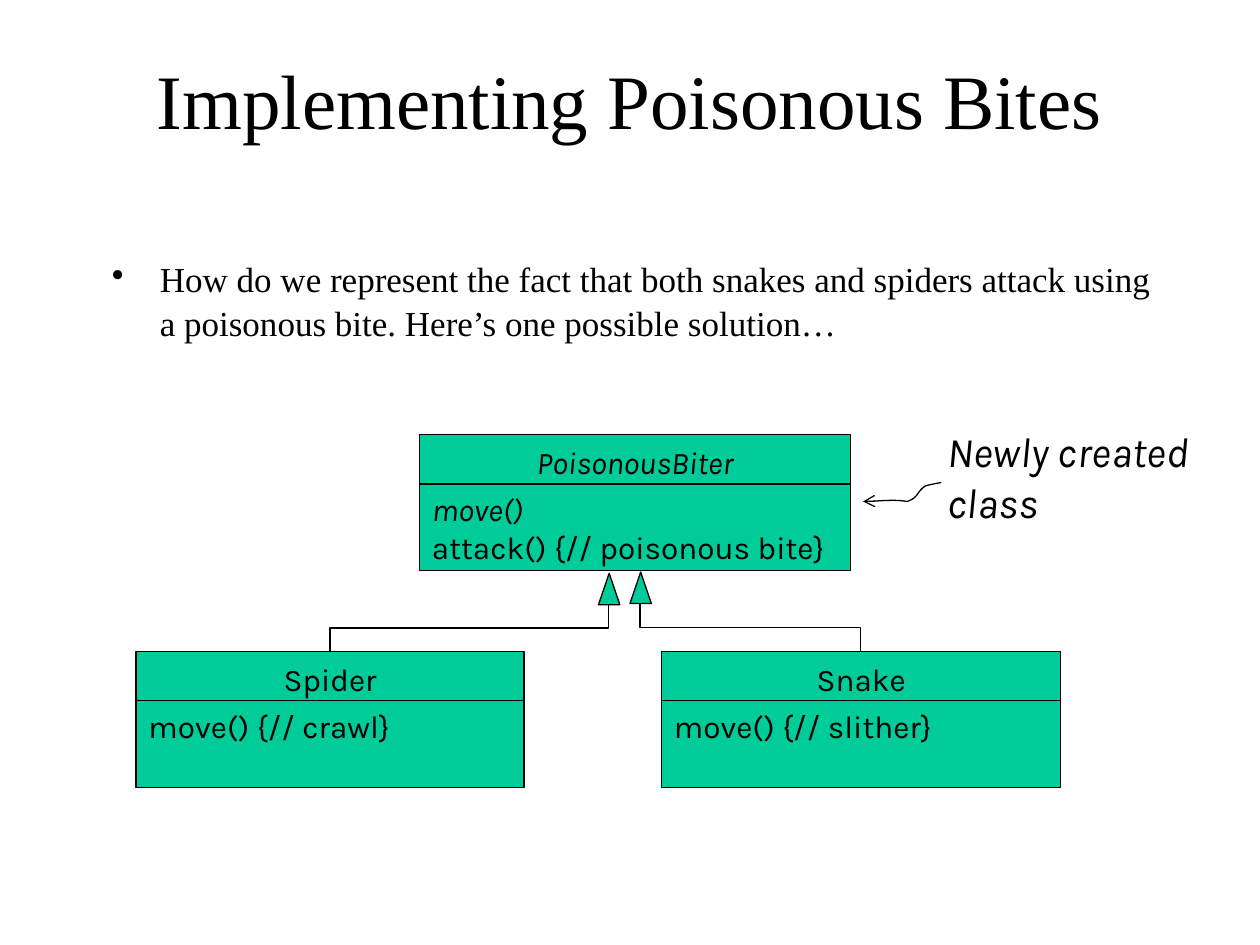
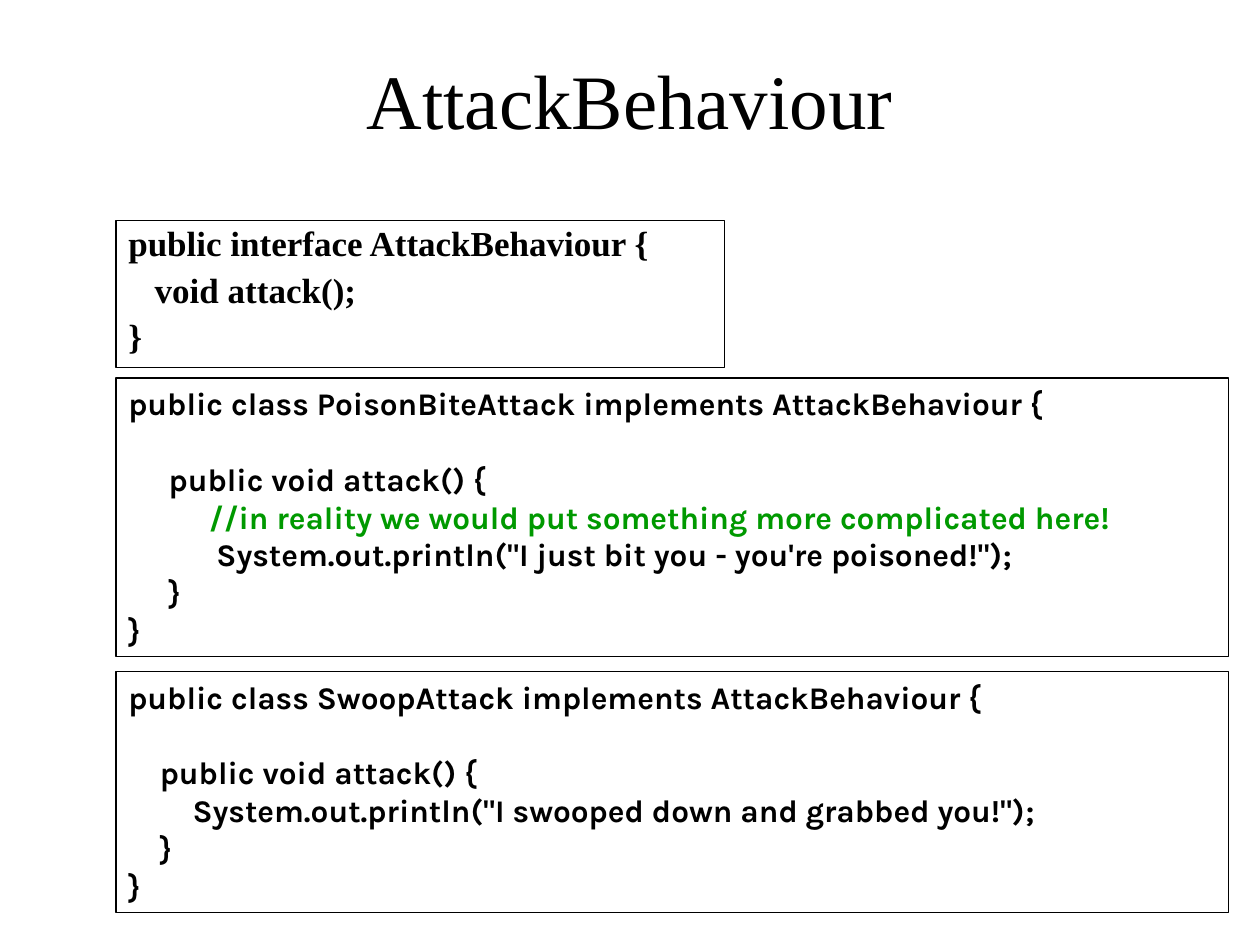
from dataclasses import dataclass
from typing import NamedTuple

from lxml import etree
from pptx import Presentation
from pptx.dml.color import RGBColor
from pptx.enum.shapes import MSO_CONNECTOR, MSO_SHAPE
from pptx.enum.text import MSO_ANCHOR, PP_ALIGN
from pptx.oxml.ns import qn
from pptx.util import Emu, Pt

RECTANGLE = MSO_SHAPE.RECTANGLE
TRIANGLE = MSO_SHAPE.ISOSCELES_TRIANGLE
ELBOW = MSO_CONNECTOR.ELBOW
LEFT, CENTER = PP_ALIGN.LEFT, PP_ALIGN.CENTER
TOP, MIDDLE = MSO_ANCHOR.TOP, MSO_ANCHOR.MIDDLE

EMU_PER_PX = 9144  # 100 px to the inch


@dataclass(frozen=True)
class Theme:
    black: RGBColor = RGBColor(0x00, 0x00, 0x00)
    white: RGBColor = RGBColor(0xFF, 0xFF, 0xFF)
    class_fill: RGBColor = RGBColor(0x00, 0xCC, 0x99)
    comment: RGBColor = RGBColor(0x00, 0x99, 0x00)
    serif: str = "Times New Roman"
    sans: str = "Karla"
    title_size: int = 44
    note_size: int = 24
    body_size: int = 20
    code_size: int = 18
    code_line: float = 21.6
    outline: float = 0.75


THEME = Theme()


class Box(NamedTuple):
    left: int
    top: int
    width: int
    height: int


class Point(NamedTuple):
    x: float
    y: float


@dataclass(frozen=True)
class Line:
    text: str
    indent: int = 0
    space_before: float = 0
    italic: bool = False
    color: RGBColor = THEME.black


@dataclass(frozen=True)
class TextStyle:
    font: str
    size: int
    bold: bool = False
    align: PP_ALIGN = LEFT
    anchor: MSO_ANCHOR = TOP
    line_spacing: float = 1.0


@dataclass(frozen=True)
class ClassBox:
    left: int
    top: int
    width: int
    name: Line
    methods: tuple[Line, ...]


@dataclass(frozen=True)
class CodePanel:
    box: Box
    style: TextStyle
    lines: tuple[Line, ...]


TITLE = TextStyle(THEME.serif, THEME.title_size, align=CENTER)
BODY = TextStyle(THEME.serif, THEME.body_size, line_spacing=1.05)
NOTE = TextStyle(THEME.sans, THEME.note_size)
CLASS_NAME = TextStyle(THEME.sans, THEME.code_size, align=CENTER, anchor=MIDDLE)
METHODS = TextStyle(THEME.sans, THEME.code_size)
INTERFACE_CODE = TextStyle(THEME.serif, THEME.body_size, bold=True, line_spacing=0.9)
CLASS_CODE = TextStyle(THEME.sans, THEME.code_size, bold=True)

TITLE_BOX = Box(50, 30, 900, 125)
TITLE_TOP_MARGIN = 12
QUESTION_BOX = Box(79, 198, 846, 83)
HANGING_INDENT = 38
NAME_HEIGHT, METHODS_OFFSET, METHODS_HEIGHT = 44, 39, 69

CLASSES = (
    ClassBox(333, 345, 342, Line("PoisonousBiter", italic=True),
             (Line("move()", italic=True), Line("attack() {// poisonous bite}"))),
    ClassBox(108, 517, 308, Line("Spider"), (Line("move() {// crawl}"),)),
    ClassBox(525, 517, 317, Line("Snake"), (Line("move() {// slither}"),)),
)
INHERITANCE_LINES = (
    (Point(508, 479), Point(683, 517)),
    (Point(483, 480), Point(262, 517)),
)
INHERITANCE_HEADS = (Box(475, 455, 17, 25), Box(500, 454, 17, 25))
NOTE_CURVES = (
    (Point(747, 383), Point(747, 383), Point(735, 385), Point(734, 386)),
    (Point(734, 386), Point(727, 391), Point(729, 395), Point(720, 398)),
    (Point(720, 398), Point(708, 396), Point(697, 398), Point(685, 398)),
)

CODE_PANELS = (
    CodePanel(Box(92, 175, 483, 117), INTERFACE_CODE, (
        Line("public interface AttackBehaviour {"),
        Line("void attack();", indent=21, space_before=5),
        Line("}", space_before=5),
    )),
    CodePanel(Box(92, 300, 883, 221), CLASS_CODE, (
        Line("public class PoisonBiteAttack implements AttackBehaviour {"),
        Line("public void attack() {", indent=32, space_before=THEME.code_line),
        Line("//in reality we would put something more complicated here!",
             indent=64, color=THEME.comment),
        Line('System.out.println("I just bit you - you\'re poisoned!");', indent=70),
        Line("}", indent=32),
        Line("}"),
    )),
    CodePanel(Box(92, 533, 883, 191), CLASS_CODE, (
        Line("public class SwoopAttack implements AttackBehaviour {"),
        Line("public void attack() {", indent=25, space_before=THEME.code_line),
        Line('System.out.println("I swooped down and grabbed you!");', indent=51),
        Line("}", indent=25),
        Line("}"),
    )),
)


def px(length: float) -> Emu:
    return Emu(round(length * EMU_PER_PX))


def write_lines(shape, lines: tuple[Line, ...], style: TextStyle) -> None:
    frame = shape.text_frame
    frame.word_wrap = True
    frame.vertical_anchor = style.anchor
    frame.text = "\n".join(line.text for line in lines)
    for paragraph, line in zip(frame.paragraphs, lines):
        paragraph.alignment = style.align
        paragraph.line_spacing = style.line_spacing
        paragraph.space_before = Pt(line.space_before)
        if line.indent:
            paragraph._p.get_or_add_pPr().set("marL", str(px(line.indent)))
        for run in paragraph.runs:
            run.font.name = style.font
            run.font.size = Pt(style.size)
            run.font.bold = style.bold
            run.font.italic = line.italic
            run.font.color.rgb = line.color


def set_outline(shape) -> None:
    shape.line.color.rgb = THEME.black
    shape.line.width = Pt(THEME.outline)


def add_filled_shape(shapes, kind: MSO_SHAPE, box: Box, fill: RGBColor):
    shape = shapes.add_shape(kind, *map(px, box))
    shape.shadow.inherit = False
    shape.fill.solid()
    shape.fill.fore_color.rgb = fill
    set_outline(shape)
    return shape


def add_text(slide, box: Box, line: Line, style: TextStyle):
    shape = slide.shapes.add_textbox(*map(px, box))
    write_lines(shape, (line,), style)
    return shape


def add_titled_slide(presentation, title: str):
    slide = presentation.slides.add_slide(presentation.slide_layouts[6])
    shape = add_text(slide, TITLE_BOX, Line(title), TITLE)
    shape.text_frame.margin_top = px(TITLE_TOP_MARGIN)
    return slide


def add_bullet(paragraph) -> None:
    properties = paragraph._p.get_or_add_pPr()
    properties.set("marL", str(px(HANGING_INDENT)))
    properties.set("indent", str(-px(HANGING_INDENT)))
    etree.SubElement(properties, qn("a:buChar")).set("char", "•")


def add_class_box(slide, item: ClassBox) -> None:
    shapes = slide.shapes.add_group_shape().shapes
    name_box = Box(item.left, item.top, item.width, NAME_HEIGHT)
    methods_box = Box(item.left, item.top + METHODS_OFFSET, item.width, METHODS_HEIGHT)
    for box, lines, style in ((name_box, (item.name,), CLASS_NAME),
                              (methods_box, item.methods, METHODS)):
        shape = add_filled_shape(shapes, RECTANGLE, box, THEME.class_fill)
        write_lines(shape, lines, style)


def add_inheritance_line(slide, start: Point, end: Point) -> None:
    """Elbow that leaves start downwards: a sideways elbow turned by a quarter."""
    goes_right = end.x > start.x
    center_x, center_y = (start.x + end.x) / 2, (start.y + end.y) / 2
    half_width = (end.y - start.y) / 2 * (-1 if goes_right else 1)
    half_height = abs(end.x - start.x) / 2
    connector = slide.shapes.add_connector(
        ELBOW, px(center_x - half_width), px(center_y - half_height),
        px(center_x + half_width), px(center_y + half_height))
    quarter_turns = 3 if goes_right else 1
    properties = connector._element.spPr
    properties.find(qn("a:xfrm")).set("rot", str(quarter_turns * 90 * 60000))
    set_outline(connector)
    etree.SubElement(properties, qn("a:effectLst"))


def curve_points(curve: tuple[Point, ...], steps: int = 10) -> list[Point]:
    """Points along a cubic Bezier curve, without its first one."""
    points = []
    for step in range(1, steps + 1):
        t = step / steps
        weights = ((1 - t) ** 3, 3 * t * (1 - t) ** 2, 3 * t ** 2 * (1 - t), t ** 3)
        points.append(Point(sum(w * p.x for w, p in zip(weights, curve)),
                            sum(w * p.y for w, p in zip(weights, curve))))
    return points


def add_note_arrow(slide) -> None:
    start = NOTE_CURVES[0][0]
    builder = slide.shapes.build_freeform(px(start.x), px(start.y))
    points = [point for curve in NOTE_CURVES for point in curve_points(curve)]
    builder.add_line_segments([(px(x), px(y)) for x, y in points], close=False)
    arrow = builder.convert_to_shape()
    arrow.shadow.inherit = False
    arrow.fill.background()
    set_outline(arrow)
    etree.SubElement(arrow.line._get_or_add_ln(), qn("a:tailEnd")).set("type", "arrow")


def build_poisonous_bites(presentation) -> None:
    slide = add_titled_slide(presentation, "Implementing Poisonous Bites")
    question = add_text(slide, QUESTION_BOX, Line(
        "How do we represent the fact that both snakes and spiders attack using "
        "a poisonous bite. Here’s one possible solution…"), BODY)
    add_bullet(question.text_frame.paragraphs[0])
    for item in CLASSES:
        add_class_box(slide, item)
    for start, end in INHERITANCE_LINES:
        add_inheritance_line(slide, start, end)
    for box in INHERITANCE_HEADS:
        add_filled_shape(slide.shapes, TRIANGLE, box, THEME.class_fill)
    add_text(slide, Box(742, 333, 225, 90), Line("Newly created class", italic=True), NOTE)
    add_note_arrow(slide)


def build_attack_behaviour(presentation) -> None:
    slide = add_titled_slide(presentation, "AttackBehaviour")
    for panel in CODE_PANELS:
        shape = add_filled_shape(slide.shapes, RECTANGLE, panel.box, THEME.white)
        write_lines(shape, panel.lines, panel.style)


def main() -> None:
    presentation = Presentation()
    presentation.slide_width, presentation.slide_height = px(1000), px(750)
    build_poisonous_bites(presentation)
    build_attack_behaviour(presentation)
    presentation.save("out.pptx")


if __name__ == "__main__":
    main()
